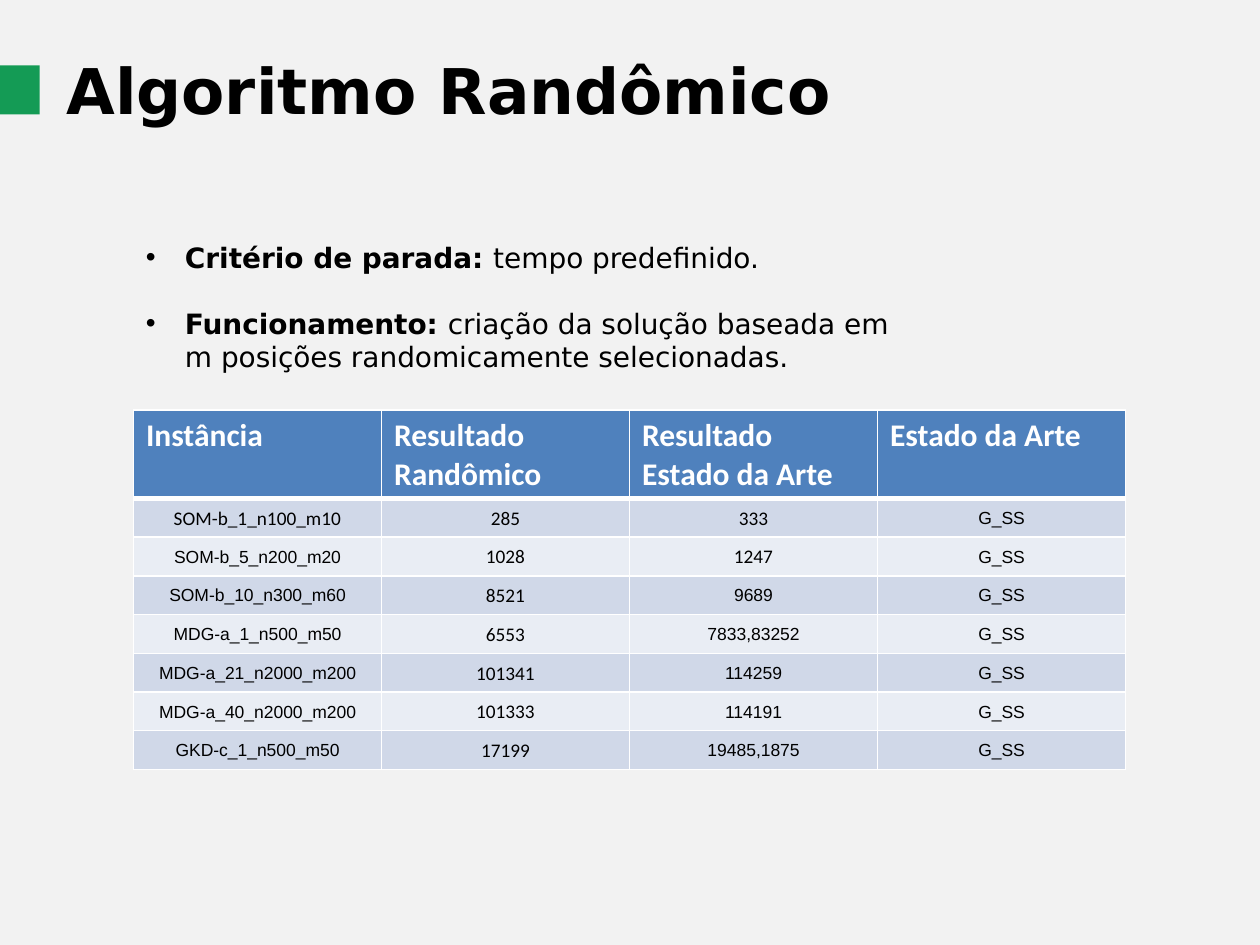
"""Builds the slide on the random algorithm and its results."""
import pptx
import pptx.dml.color
import pptx.enum.shapes
import pptx.enum.text
import pptx.oxml.ns
import pptx.util
from lxml import etree

Cm = pptx.util.Cm
Pt = pptx.util.Pt
SANS = "DejaVu Sans"
HEADS = ["Instância", "Resultado Randômico", "Resultado Estado da Arte", "Estado da Arte"]
ROWS = [
    ["SOM-b_1_n100_m10", "285", "333", "G_SS"],
    ["SOM-b_5_n200_m20", "1028", "1247", "G_SS"],
    ["SOM-b_10_n300_m60", "8521", "9689", "G_SS"],
    ["MDG-a_1_n500_m50", "6553", "7833,83252", "G_SS"],
    ["MDG-a_21_n2000_m200", "101341", "114259", "G_SS"],
    ["MDG-a_40_n2000_m200", "101333", "114191", "G_SS"],
    ["GKD-c_1_n500_m50", "17199", "19485,1875", "G_SS"],
]
POINTS = [
    ("Critério de parada: ", "tempo predefinido."),
    ("Funcionamento: ", "criação da solução baseada em m posições randomicamente selecionadas."),
]


def tint(code):
    return pptx.dml.color.RGBColor.from_string(code)


def paint(fill, code):
    fill.solid()
    fill.fore_color.rgb = tint(code)


def add_run(para, text, size, face, bold=False, code="000000"):
    run = para.add_run()
    run.text = text
    run.font.size = Pt(size)
    run.font.name = face
    run.font.bold = bold
    run.font.color.rgb = tint(code)


def add_node(host, tag, **attrs):
    return etree.SubElement(host, pptx.oxml.ns.qn(tag), attrs)


def add_box(slide, left, top, width, height):
    frame = slide.shapes.add_textbox(Cm(left), Cm(top), Cm(width), Cm(height)).text_frame
    frame.word_wrap = True
    return frame


def add_title(slide):
    mark = slide.shapes.add_shape(
        pptx.enum.shapes.MSO_SHAPE.RECTANGLE, Cm(-0.1), Cm(1.32), Cm(0.9), Cm(0.99))
    mark.shadow.inherit = False
    paint(mark.fill, "149B55")
    mark.line.fill.background()
    frame = add_box(slide, 1.09, 0.91, 17.2, 1.8)
    add_run(frame.paragraphs[0], "Algoritmo Randômico", 36, SANS, True)


def add_points(slide):
    frame = add_box(slide, 2.69, 4.72, 15.8, 7.09)
    for num, (term, text) in enumerate(POINTS):
        para = frame.add_paragraph() if num else frame.paragraphs[0]
        para.space_before = Pt(18.6 if num else 0)
        props = para._p.get_or_add_pPr()
        props.set("marL", str(Cm(0.79)))
        props.set("indent", str(-Cm(0.79)))
        add_node(props, "a:buFont", typeface="Arial")
        add_node(props, "a:buChar", char="•")
        add_run(para, term, 16, SANS, True)
        add_run(para, text, 16, SANS)


def edge(cell, row):
    props = cell._tc.get_or_add_tcPr()
    thick = {"T": 3 if row == 1 else 1, "B": 3 if row == 0 else 1}
    for side in "LRTB":
        line = add_node(props, "a:ln" + side, w=str(Pt(thick.get(side, 1))))
        add_node(add_node(line, "a:solidFill"), "a:srgbClr", val="FFFFFF")


def fill_head(cell, text):
    paint(cell.fill, "4F81BD")
    add_run(cell.text_frame.paragraphs[0], text, 18, "Calibri", True, "FFFFFF")


def fill_cell(cell, text, row, col):
    paint(cell.fill, "D0D8E8" if row % 2 else "E9EDF4")
    cell.vertical_anchor = pptx.enum.text.MSO_ANCHOR.MIDDLE
    cell.margin_left = cell.margin_right = cell.margin_top = Cm(0.03)
    cell.margin_bottom = 0
    para = cell.text_frame.paragraphs[0]
    para.alignment = pptx.enum.text.PP_ALIGN.CENTER
    large = col == 1 or (row, col) in {(1, 0), (1, 2), (2, 2)}
    add_run(para, text, *((11, "Calibri") if large else (10, "Arial")))


def add_grid(slide):
    grid = slide.shapes.add_table(
        len(ROWS) + 1, len(HEADS), Cm(2.69), Cm(8.27), Cm(20), Cm(7.21)).table
    for row, texts in enumerate([HEADS] + ROWS):
        grid.rows[row].height = Cm(0.78 if row else 1.75)
        for col, text in enumerate(texts):
            cell = grid.cell(row, col)
            edge(cell, row)
            if row:
                fill_cell(cell, text, row, col)
            else:
                fill_head(cell, text)


def main():
    deck = pptx.Presentation()
    deck.slide_width, deck.slide_height = Cm(25.4), Cm(19.05)
    slide = deck.slides.add_slide(deck.slide_layouts[6])
    paint(slide.background.fill, "F2F2F2")
    add_points(slide)
    add_title(slide)
    add_grid(slide)
    deck.save("out.pptx")


if __name__ == "__main__":
    main()
